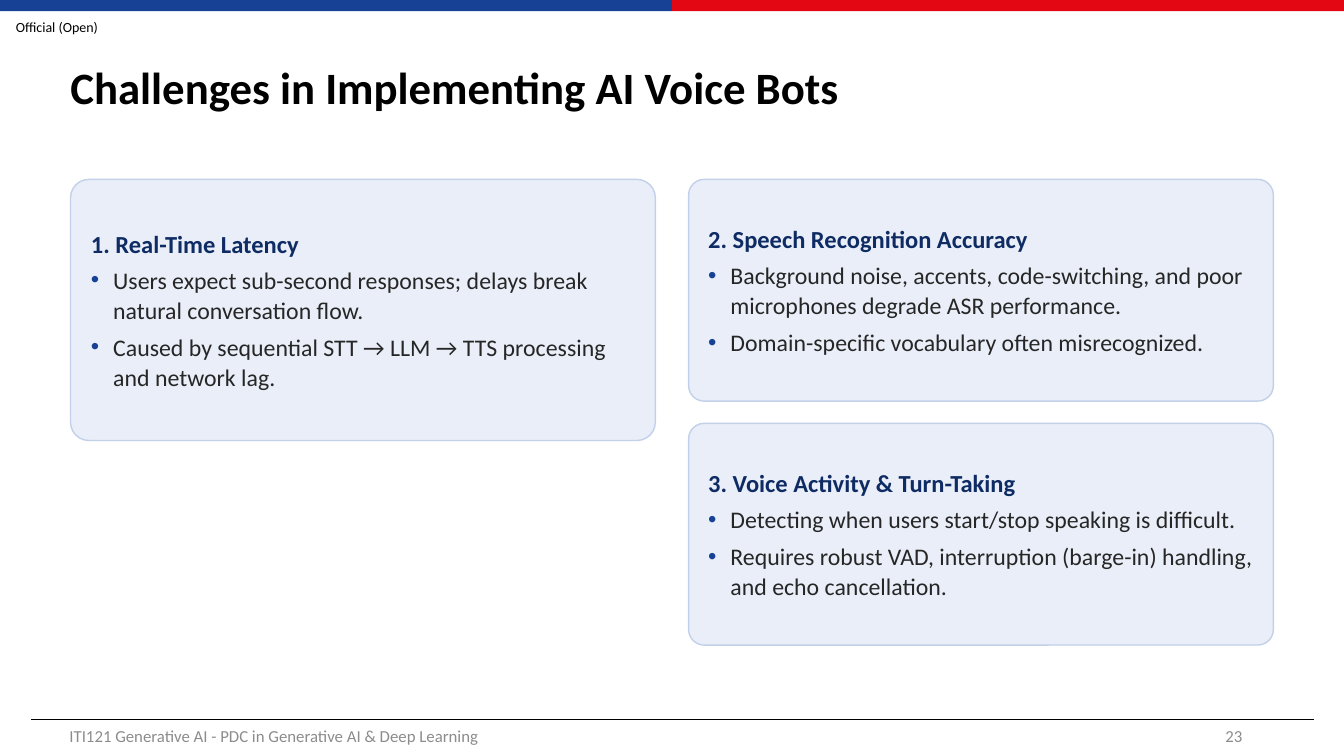
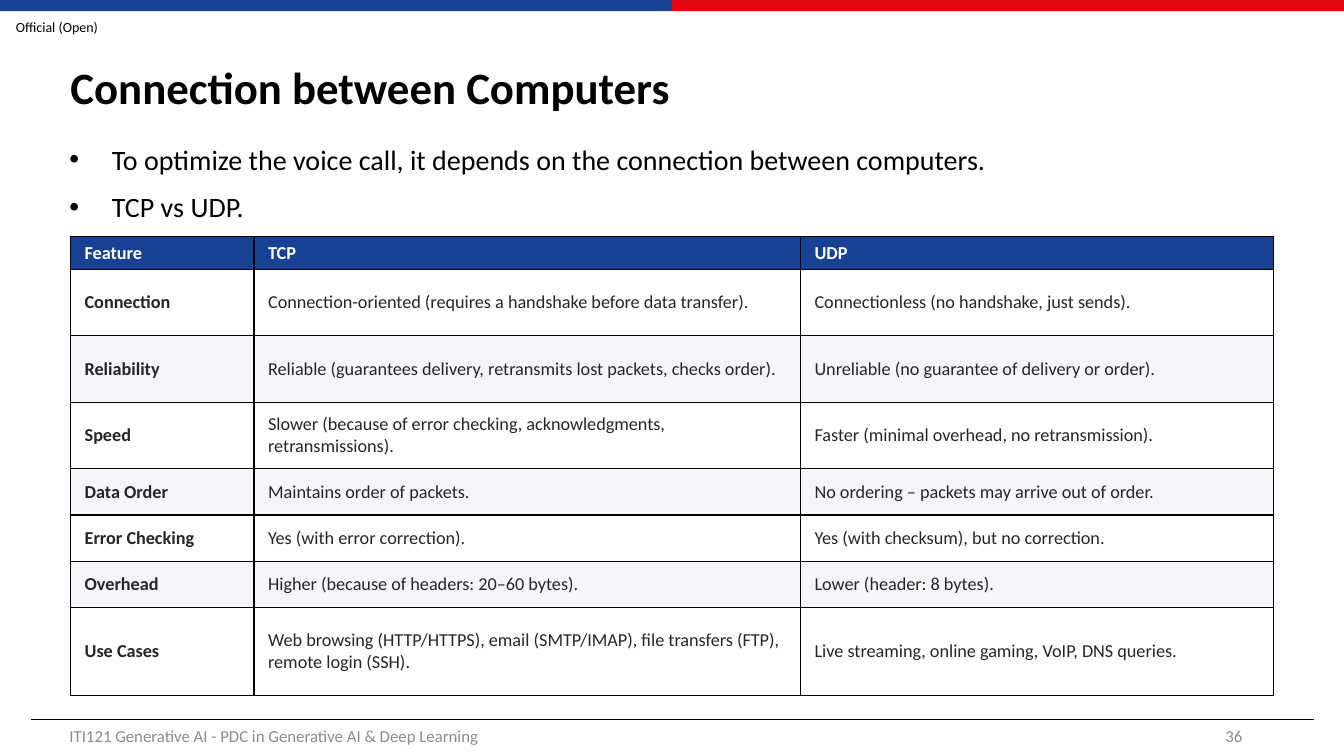
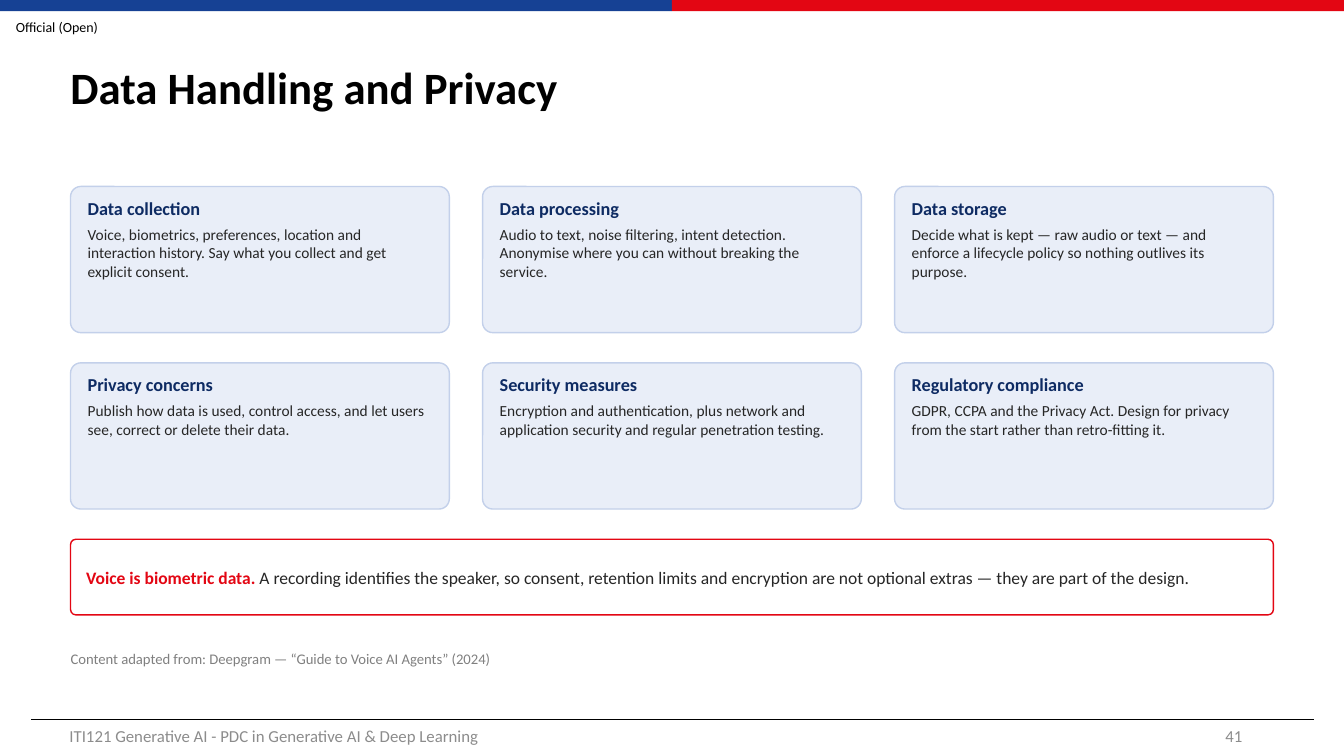
"""Build three lecture slides on voice bots, transport protocols and privacy."""
from lxml.etree import SubElement
from pptx import Presentation
from pptx.dml.color import RGBColor
from pptx.enum.shapes import MSO_CONNECTOR as Connector, MSO_SHAPE as Preset
from pptx.enum.text import MSO_ANCHOR as Anchor, PP_ALIGN as Align
from pptx.oxml.ns import qn
from pptx.util import Inches, Pt

FONT = "Calibri"
BLUE, RED, NAVY = "164194", "E30613", "0E2B63"
BLACK, WHITE, INK = "000000", "FFFFFF", "262626"
FOOTER_GRAY, SOURCE_GRAY = "8C8C8C", "808080"
CARD_FILL, CARD_LINE, STRIPE = "E9EEF8", "C3D0EA", "F4F6FA"

WIDTH, HEIGHT = 13.33, 7.5
MARGIN, GAP, COLUMNS = 0.7, 0.33, 6
CONTENT = WIDTH - 2 * MARGIN
PITCH = (CONTENT + GAP) / COLUMNS
HALF, THIRD = 3 * PITCH - GAP, 2 * PITCH - GAP


def color(value):
    """Turn a hex string into a colour."""
    return RGBColor.from_string(value)


def add_text(slide, box, lines, fill=None, outline=None, insets=(0.1, 0.05), anchor=Anchor.MIDDLE):
    """Add a text box, or a rounded card when a fill is given."""
    place = [Inches(length) for length in box]
    if fill:
        shape = slide.shapes.add_shape(Preset.ROUNDED_RECTANGLE, *place)
        shape.adjustments[0] = 0.07
        shape.shadow.inherit = False
        shape.fill.solid()
        shape.fill.fore_color.rgb = color(fill)
        shape.line.color.rgb = color(outline)
        shape.line.width = Pt(1)
    else:
        shape = slide.shapes.add_textbox(*place)
    frame = shape.text_frame
    frame.word_wrap = True
    frame.vertical_anchor = anchor
    frame.margin_left = frame.margin_right = Inches(insets[0])
    frame.margin_top = frame.margin_bottom = Inches(insets[1])
    for index, line in enumerate(lines):
        paragraph = frame.add_paragraph() if index else frame.paragraphs[0]
        paragraph.alignment = line.get("align", Align.LEFT)
        paragraph.line_spacing = line.get("spacing", 1.0)
        paragraph.space_after = Pt(line.get("after", 0))
        if index:
            paragraph.space_before = Pt(line.get("before", 0))
        if "bullet" in line:
            bullet_color, indent = line["bullet"]
            properties = paragraph._p.get_or_add_pPr()
            properties.set("marL", str(Inches(indent)))
            properties.set("indent", str(-Inches(indent)))
            bullet_fill = SubElement(properties, qn("a:buClr"))
            SubElement(bullet_fill, qn("a:srgbClr"), val=bullet_color)
            SubElement(properties, qn("a:buFont"), typeface="Arial")
            SubElement(properties, qn("a:buChar"), char="•")
        paragraph.font.name = FONT
        paragraph.font.size = Pt(line["size"])
        for text, run_color, bold in line["runs"]:
            run = paragraph.add_run()
            run.text = text
            run.font.color.rgb = color(run_color)
            run.font.bold = bold


presentation = Presentation()
presentation.slide_width, presentation.slide_height = Inches(WIDTH), Inches(HEIGHT)

slides = []
for title, number in [
    ("Challenges in Implementing AI Voice Bots", "23"),
    ("Connection between Computers", "36"),
    ("Data Handling and Privacy", "41"),
]:
    slide = presentation.slides.add_slide(presentation.slide_layouts[6])
    slides.append(slide)
    for side, band_color in enumerate([BLUE, RED]):
        band = slide.shapes.add_shape(
            Preset.RECTANGLE, Inches(side * WIDTH / 2), 0, Inches(WIDTH / 2), Inches(0.11))
        band.shadow.inherit = False
        band.fill.solid()
        band.fill.fore_color.rgb = color(band_color)
        band.line.fill.background()
    rule = slide.shapes.add_connector(
        Connector.STRAIGHT, Inches(0.31), Inches(7.14), Inches(13.03), Inches(7.14))
    rule.line.color.rgb = color(BLACK)
    rule.line.width = Pt(0.5)
    SubElement(rule._element.spPr, qn("a:effectLst"))
    add_text(slide, (0, 0.12, 1.13, 0.29), insets=(0, 0), lines=[
        {"runs": [("Official (Open)", BLACK, False)], "size": 10, "align": Align.CENTER}])
    add_text(slide, (0.6, 0.3, 12.08, 1.18), [
        {"runs": [(title, BLACK, True)], "size": 32, "spacing": 0.9}])
    add_text(slide, (0.59, 7.1, 4.5, 0.4), [
        {"runs": [("ITI121 Generative AI - PDC in Generative AI & Deep Learning", FOOTER_GRAY, False)],
         "size": 12}])
    add_text(slide, (9.42, 7.1, 3, 0.4), [
        {"runs": [(number, FOOTER_GRAY, False)], "size": 12, "align": Align.RIGHT}])
challenges, connection, privacy = slides

for column, top, height, heading, points in [
    (0, 1.78, 2.59, "1. Real-Time Latency", [
        "Users expect sub-second responses; delays break natural conversation flow.",
        "Caused by sequential STT → LLM → TTS processing and network lag."]),
    (3, 1.78, 2.2, "2. Speech Recognition Accuracy", [
        "Background noise, accents, code-switching, and poor microphones degrade ASR performance.",
        "Domain-specific vocabulary often misrecognized."]),
    (3, 4.2, 2.2, "3. Voice Activity & Turn-Taking", [
        "Detecting when users start/stop speaking is difficult.",
        "Requires robust VAD, interruption (barge-in) handling, and echo cancellation."]),
]:
    lines = [{"runs": [(heading, NAVY, True)], "size": 17.5, "after": 4}]
    for point in points:
        lines.append({"runs": [(point, INK, False)], "size": 17, "spacing": 1.05, "after": 5,
                      "bullet": (BLUE, 0.22)})
    add_text(challenges, (MARGIN + column * PITCH, top, HALF, height), lines,
             CARD_FILL, CARD_LINE, (0.15, 0.1))

add_text(connection, (0.59, 1.36, 11.69, 0.95), anchor=Anchor.TOP, lines=[
    {"runs": [(point, BLACK, False)], "size": 20, "before": 10, "bullet": (BLACK, 0.42)}
    for point in [
        "To optimize the voice call, it depends on the connection between computers.",
        "TCP vs UDP."]])

protocol_rows = [
    (0.32, "Feature", "TCP", "UDP"),
    (0.66, "Connection", "Connection-oriented (requires a handshake before data transfer).",
     "Connectionless (no handshake, just sends)."),
    (0.66, "Reliability", "Reliable (guarantees delivery, retransmits lost packets, checks order).",
     "Unreliable (no guarantee of delivery or order)."),
    (0.66, "Speed", "Slower (because of error checking, acknowledgments, retransmissions).",
     "Faster (minimal overhead, no retransmission)."),
    (0.46, "Data Order", "Maintains order of packets.",
     "No ordering – packets may arrive out of order."),
    (0.46, "Error Checking", "Yes (with error correction).",
     "Yes (with checksum), but no correction."),
    (0.46, "Overhead", "Higher (because of headers: 20–60 bytes).", "Lower (header: 8 bytes)."),
    (0.87, "Use Cases",
     "Web browsing (HTTP/HTTPS), email (SMTP/IMAP), file transfers (FTP), remote login (SSH).",
     "Live streaming, online gaming, VoIP, DNS queries."),
]
table = connection.shapes.add_table(
    len(protocol_rows), 3, Inches(MARGIN), Inches(2.35), Inches(CONTENT), Inches(4.55)).table
for column, width in zip(table.columns, [1.82, 5.42, 4.69]):
    column.width = Inches(width)
for row_index, (height, *texts) in enumerate(protocol_rows):
    table.rows[row_index].height = Inches(height)
    header = row_index == 0
    row_fill = BLUE if header else WHITE if row_index % 2 else STRIPE
    for column_index, text in enumerate(texts):
        cell = table.cell(row_index, column_index)
        cell.text = text
        cell.vertical_anchor = Anchor.MIDDLE
        cell.margin_left = cell.margin_right = Inches(0.14)
        cell.margin_top = cell.margin_bottom = Inches(0.05)
        font = cell.text_frame.paragraphs[0].font
        font.name, font.size = FONT, Pt(13)
        font.bold = header or column_index == 0
        font.color.rgb = color(WHITE if header else INK)
        cell_properties = cell._tc.get_or_add_tcPr()
        for edge in ["a:lnL", "a:lnR", "a:lnT", "a:lnB"]:
            border = SubElement(cell_properties, qn(edge), w=str(Pt(1)))
            border_fill = SubElement(border, qn("a:solidFill"))
            SubElement(border_fill, qn("a:srgbClr"), val=BLACK)
        cell.fill.solid()
        cell.fill.fore_color.rgb = color(row_fill)

for index, (heading, body) in enumerate([
    ("Data collection", "Voice, biometrics, preferences, location and interaction history. "
     "Say what you collect and get explicit consent."),
    ("Data processing", "Audio to text, noise filtering, intent detection. "
     "Anonymise where you can without breaking the service."),
    ("Data storage", "Decide what is kept — raw audio or text — and enforce a lifecycle policy "
     "so nothing outlives its purpose."),
    ("Privacy concerns", "Publish how data is used, control access, and let users see, "
     "correct or delete their data."),
    ("Security measures", "Encryption and authentication, plus network and application security "
     "and regular penetration testing."),
    ("Regulatory compliance", "GDPR, CCPA and the Privacy Act. Design for privacy from the start "
     "rather than retro-fitting it."),
]):
    row, column = divmod(index, 3)
    add_text(privacy, (MARGIN + column * 2 * PITCH, 1.85 + row * 1.75, THIRD, 1.45), [
        {"runs": [(heading, NAVY, True)], "size": 13, "spacing": 0.95, "after": 4},
        {"runs": [(body, INK, False)], "size": 11},
    ], CARD_FILL, CARD_LINE, (0.14, 0.09), Anchor.TOP)

add_text(privacy, (MARGIN, 5.35, CONTENT, 0.75), [
    {"runs": [("Voice is biometric data. ", RED, True),
              ("A recording identifies the speaker, so consent, retention limits and encryption "
               "are not optional extras — they are part of the design.", INK, False)],
     "size": 12.5}], WHITE, RED, (0.14, 0.09))
add_text(privacy, (MARGIN, 6.45, CONTENT, 0.3), insets=(0, 0), anchor=Anchor.TOP, lines=[
    {"runs": [("Content adapted from: Deepgram — “Guide to Voice AI Agents” (2024)", SOURCE_GRAY, False)],
     "size": 10.5}])

presentation.save("out.pptx")
